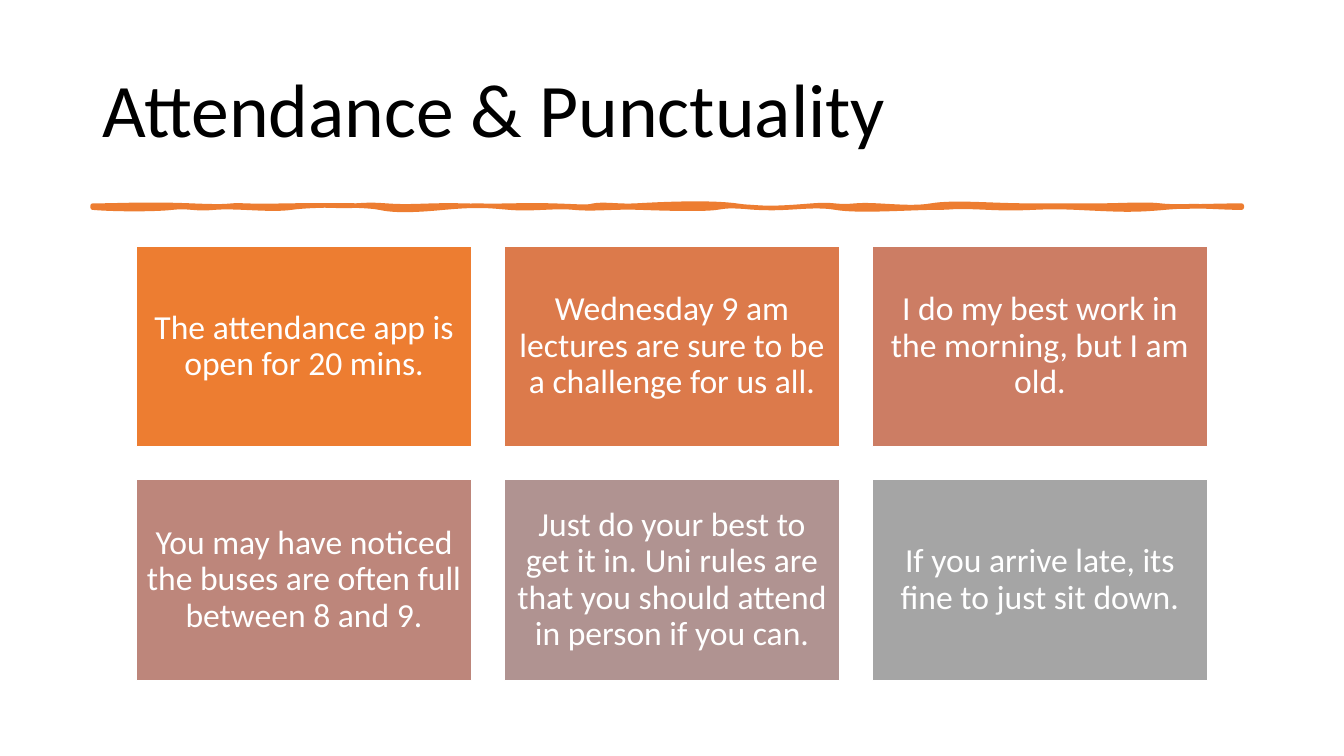
from dataclasses import dataclass
from typing import NamedTuple

import lxml.etree
import pptx
import pptx.dml.color
import pptx.enum.shapes
import pptx.enum.text
import pptx.oxml.ns
import pptx.util

Pt = pptx.util.Pt
qn = pptx.oxml.ns.qn

COLORS = {
    "ink": "000000",
    "white": "FFFFFF",
    "orange": "ED7D31",
    "rust": "DC7A4B",
    "terracotta": "CC7D64",
    "rose": "BD867B",
    "mauve": "B09391",
    "gray": "A5A5A5",
}
FONT = "Calibri"

COLUMNS = 3
GRID_LEFT, GRID_TOP = 97.6, 175.6
COLUMN_STEP, ROW_STEP = 262.8, 167
CARD_WIDTH, CARD_HEIGHT = 239.2, 143.4
CARD_INSET = 7.2

RULE_LEFT, RULE_RIGHT = 66.2, 887
RULE_TOP, RULE_BOTTOM = 146.9, 148.3


@dataclass(frozen=True)
class Card:
    text: str
    color: str


class Wave(NamedTuple):
    """Cubic curve that leaves and rejoins a level edge."""
    x1: float
    rise1: float
    x2: float
    rise2: float
    end: float


CARDS = [
    Card("The attendance app is open for 20 mins.", "orange"),
    Card("Wednesday 9 am lectures are sure to be a challenge for us all.", "rust"),
    Card("I do my best work in the morning, but I am old.", "terracotta"),
    Card("You may have noticed the buses are often full between 8 and 9.", "rose"),
    Card("Just do your best to get it in. Uni rules are that you should "
         "attend in person if you can.", "mauve"),
    Card("If you arrive late, its fine to just sit down.", "gray"),
]

TOP_WAVES = [
    Wave(86, 0, 104, -1.4, 137),
    Wave(171, 1.4, 158, -0.7, 176),
    Wave(192, 0.7, 218, -0.7, 238),
    Wave(259, 0.7, 258, -1.4, 276),
    Wave(295, 1.4, 305, -0.7, 331),
    Wave(359, 0.7, 370, -0.7, 395),
    Wave(418, 0.7, 418, 1.4, 424),
    Wave(431, -1.4, 443, 0.7, 454),
    Wave(466, -0.7, 505, -2.9, 526),
    Wave(546, 2.9, 562, 1.4, 580),
    Wave(598, -1.4, 595, 1.4, 611),
    Wave(625, -1.4, 649, 2.9, 665),
    Wave(682, -2.9, 707, 0, 737),
    Wave(765, 0, 765, 0, 783),
    Wave(801, 0, 818, -1.4, 829),
    Wave(841, 1.4, 866, 0, RULE_RIGHT),
]
BOTTOM_WAVES = [
    Wave(868, 0, 856, -2.2, 832),
    Wave(808, 2.2, 799, 1.4, 769),
    Wave(739, -1.4, 737, 1.4, 706),
    Wave(676, -1.4, 685, 0, 668),
    Wave(651, 0, 613, 2.9, 597),
    Wave(580, -2.9, 563, 1.4, 542),
    Wave(521, -1.4, 521, -1.4, 512),
    Wave(503, 1.4, 476, 0.7, 457),
    Wave(438, -0.7, 425, 1.4, 410),
    Wave(397, -1.4, 380, 1.4, 364),
    Wave(348, -1.4, 341, -2.2, 317),
    Wave(294, 2.2, 281, 2.2, 271),
    Wave(261, -2.2, 223, -2.2, 208),
    Wave(193, 2.2, 169, -1.4, 153),
    Wave(138, 1.4, 136, -1.4, 123),
    Wave(111, 1.4, 82, 1.4, RULE_LEFT),
]


def rgb(name: str) -> pptx.dml.color.RGBColor:
    return pptx.dml.color.RGBColor.from_string(COLORS[name])


def paint(shape, fill: str, line: str, line_width: float) -> None:
    shape.shadow.inherit = False
    shape.fill.solid()
    shape.fill.fore_color.rgb = rgb(fill)
    shape.line.color.rgb = rgb(line)
    shape.line.width = Pt(line_width)


def write(shape, text: str, size: float, color: str):
    """Fill a shape with one middle-anchored paragraph and return it."""
    frame = shape.text_frame
    frame.text = text
    frame.word_wrap = True
    frame.vertical_anchor = pptx.enum.text.MSO_ANCHOR.MIDDLE
    paragraph = frame.paragraphs[0]
    paragraph.line_spacing = 0.9
    font = paragraph.runs[0].font
    font.name = FONT
    font.size = Pt(size)
    font.color.rgb = rgb(color)
    return paragraph


def bend(segment, wave: Wave, level: float) -> None:
    """Turn a straight outline segment into the curve of a wave."""
    curve = lxml.etree.Element(qn("a:cubicBezTo"))
    for x, rise in ((wave.x1, wave.rise1), (wave.x2, wave.rise2), (wave.end, 0)):
        lxml.etree.SubElement(
            curve, qn("a:pt"),
            x=str(Pt(x) - Pt(RULE_LEFT)), y=str(Pt(level + rise) - Pt(RULE_TOP)),
        )
    segment.getparent().replace(segment, curve)


def add_title(slide) -> None:
    title = slide.shapes.add_textbox(Pt(66.2), Pt(28.8), Pt(828), Pt(104.4))
    paragraph = write(title, "Attendance & Punctuality", 54, "ink")
    paragraph.space_after = Pt(6)


def add_wavy_rule(slide) -> None:
    outline = slide.shapes.build_freeform(Pt(RULE_LEFT), Pt(RULE_TOP))
    outline.add_line_segments(
        [(Pt(wave.end), Pt(RULE_TOP)) for wave in TOP_WAVES]
        + [(Pt(RULE_RIGHT), Pt(RULE_BOTTOM))]
        + [(Pt(wave.end), Pt(RULE_BOTTOM)) for wave in BOTTOM_WAVES],
        close=True,
    )
    rule = outline.convert_to_shape()
    paint(rule, "orange", "orange", 3.25)
    stroke = rule.line._get_or_add_ln()
    lxml.etree.SubElement(stroke, qn("a:round"))

    segments = list(rule._element.iter(qn("a:lnTo")))
    corner = len(TOP_WAVES)
    for segment, wave in zip(segments[:corner], TOP_WAVES):
        bend(segment, wave, RULE_TOP)
    for segment, wave in zip(segments[corner + 1:], BOTTOM_WAVES):
        bend(segment, wave, RULE_BOTTOM)


def add_card(slide, index: int, card: Card) -> None:
    row, column = divmod(index, COLUMNS)
    box = slide.shapes.add_shape(
        pptx.enum.shapes.MSO_SHAPE.RECTANGLE,
        Pt(GRID_LEFT + column * COLUMN_STEP), Pt(GRID_TOP + row * ROW_STEP),
        Pt(CARD_WIDTH), Pt(CARD_HEIGHT),
    )
    paint(box, card.color, "white", 1)
    paragraph = write(box, card.text, 24, "white")
    paragraph.alignment = pptx.enum.text.PP_ALIGN.CENTER
    frame = box.text_frame
    frame.margin_left = frame.margin_right = Pt(CARD_INSET)
    frame.margin_top = frame.margin_bottom = Pt(CARD_INSET)


def main() -> None:
    deck = pptx.Presentation()
    deck.slide_width, deck.slide_height = Pt(960), Pt(540)
    slide = deck.slides.add_slide(deck.slide_layouts[6])
    add_title(slide)
    add_wavy_rule(slide)
    for index, card in enumerate(CARDS):
        add_card(slide, index, card)
    deck.save("out.pptx")


if __name__ == "__main__":
    main()
